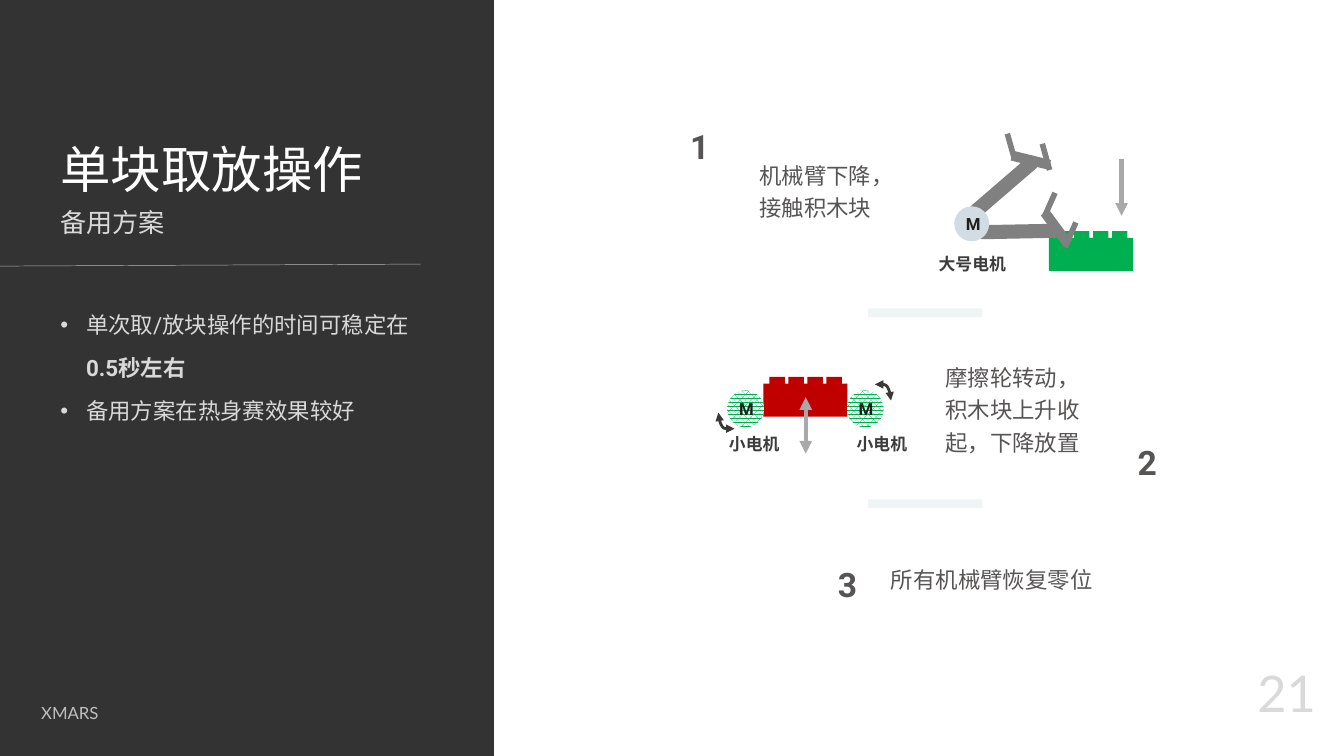
from lxml.etree import SubElement
from pptx import Presentation
from pptx.dml.color import RGBColor
from pptx.enum.dml import MSO_PATTERN
from pptx.enum.shapes import MSO_CONNECTOR as LINK, MSO_SHAPE as SHAPE
from pptx.enum.text import MSO_ANCHOR as ANCHOR, MSO_AUTO_SIZE as FIT, PP_ALIGN as ALIGN
from pptx.oxml.ns import qn
from pptx.util import Inches, Pt

WHITE = RGBColor(0xFF, 0xFF, 0xFF)
PANEL = RGBColor(0x33, 0x33, 0x33)
RULE = RGBColor(0xBC, 0xBA, 0xBA)
PALE = RGBColor(0xD9, 0xD9, 0xD9)
FOOT = RGBColor(0xBF, 0xBF, 0xBF)
INK = RGBColor(0x57, 0x54, 0x54)
LABEL = RGBColor(0x3C, 0x3C, 0x3C)
BLACK = RGBColor(0x1E, 0x1E, 0x1E)
CURVE = RGBColor(0x3B, 0x38, 0x38)
ARROW = RGBColor(0xA9, 0xA9, 0xA9)
METAL = RGBColor(0x80, 0x80, 0x80)
BAR = RGBColor(0xF0, 0xF4, 0xF5)
MOTOR = RGBColor(0xD1, 0xDD, 0xE2)
RED = RGBColor(0xC0, 0x00, 0x00)
GREEN = RGBColor(0x00, 0xB0, 0x50)

TITLE = "单块取放操作"
SUB = "备用方案"
POINTS = [
    [("单次取/放块操作的时间可稳定在", False), ("0.5秒左右", True)],
    [("备用方案在热身赛效果较好", False)],
]
# number, its place, step text, its box
STEPS = [
    ("1", (10.17, 1.46), "机械臂下降，接触积木块", (11.2, 2.28, 1.9, 1.58)),
    ("2", (16.83, 6.17), "摩擦轮转动，积木块上升收起，下降放置", (13.97, 5.29, 2.24, 1.58)),
    ("3", (12.37, 7.98), "所有机械臂恢复零位", (13.16, 8.3, 3.54, 0.95)),
]
LABELS = [("小电机", 12.65, 6.41), ("小电机", 10.75, 6.4), ("大号电机", 13.87, 3.72)]
# bars: box and angle; jaws: start and end
ARM_UP = (
    [((15.05, 2.31, 0.58, 0.15), 13.9), ((14.83, 2.22, 0.21, 1.13), 49.2)],
    [(14.99, 1.99, 15.1, 2.38), (15.51, 2.14, 15.62, 2.53)],
)
ARM_DOWN = (
    [((15.43, 3.32, 0.58, 0.15), 53.6), ((15.05, 2.88, 0.21, 1.13), 88.9)],
    [(15.7, 2.87, 15.54, 3.23), (16.01, 3.31, 15.85, 3.68)],
)
# left, top, bend of each turning arrow
TURNS = [(13.02, 5.72, 0), (10.69, 6.14, 100000)]

prs = Presentation()
prs.slide_width, prs.slide_height = Inches(20), Inches(11.25)
slide = prs.slides.add_slide(prs.slide_layouts[1])
page = slide.shapes


def inches(vals):
    return [Inches(v) for v in vals]


def block(shapes, box, color, kind=SHAPE.RECTANGLE, turn=0):
    shape = shapes.add_shape(kind, *inches(box))
    shape.shadow.inherit = False
    shape.fill.solid()
    shape.fill.fore_color.rgb = color
    shape.line.fill.background()
    shape.rotation = turn
    return shape


def link(shapes, ends, color, width, heads=(), kind=LINK.STRAIGHT):
    line = shapes.add_connector(kind, *inches(ends))
    line.line.color.rgb = color
    line.line.width = Pt(width)
    for head in heads:
        SubElement(line.line._get_or_add_ln(), qn("a:" + head), type="triangle")
    SubElement(line._element.spPr, qn("a:effectLst"))
    return line


def add_run(para, text, size, color, font="Roboto", bold=False):
    run = para.add_run()
    run.text = text
    run.font.size, run.font.name, run.font.bold = Pt(size), font, bold
    run.font.color.rgb = color


def write(box, text, size, color, font="Roboto", bold=False, space=1.0, align=ALIGN.LEFT):
    shape = page.add_textbox(*inches(box))
    shape.text_frame.word_wrap = True
    para = shape.text_frame.paragraphs[0]
    para.line_spacing, para.alignment = space, align
    add_run(para, text, size, color, font, bold)
    return shape


def place(holder, box, anchor):
    holder.left, holder.top, holder.width, holder.height = inches(box)
    frame = holder.text_frame
    frame.auto_size, frame.vertical_anchor = FIT.NONE, anchor
    return frame


def brick(left, top, color):
    group = page.add_group_shape().shapes
    block(group, (left, top, 1.25, 0.49), color)
    for i in range(4):
        block(group, (left + 0.09 + 0.283 * i, top - 0.1, 0.23, 0.49), color)


def arm(bars, jaws):
    group = page.add_group_shape().shapes
    for box, turn in bars:
        block(group, box, METAL, turn=turn)
    for ends in jaws:
        link(group, ends, METAL, 6)


def motor(left, top, size, color):
    shape = block(page, (left, top, size, size), color, SHAPE.OVAL)
    frame = shape.text_frame
    frame.vertical_anchor = ANCHOR.MIDDLE
    frame.paragraphs[0].alignment = ALIGN.CENTER
    add_run(frame.paragraphs[0], "M", 18, BLACK, bold=True)
    return shape


# Left panel, behind the placeholders
panel = block(page, (0, 0, 7.35, 11.25), PANEL)
rule = link(page, (0, 3.96, 6.26, 3.93), RULE, 0.5)
for back in (rule, panel):
    page._spTree.insert(2, back._element)

para = place(page.title, (0.8, 1.94, 5.81, 1.25), ANCHOR.MIDDLE).paragraphs[0]
para.alignment, para.line_spacing = ALIGN.LEFT, 0.9
add_run(para, TITLE, 54, WHITE, "Calibri")
sub = write((0.8, 2.82, 4.92, 0.77), SUB, 28, PALE, "Calibri")
sub.text_frame.vertical_anchor = ANCHOR.BOTTOM

frame = place(slide.placeholders[1], (0.8, 4.34, 5.56, 3.27), ANCHOR.TOP)
for i, runs in enumerate(POINTS):
    para = frame.add_paragraph() if i else frame.paragraphs[0]
    props = para._p.get_or_add_pPr()
    props.set("marL", str(Inches(0.38)))
    props.set("indent", str(-Inches(0.38)))
    SubElement(props, qn("a:buFont"), typeface="Arial")
    SubElement(props, qn("a:buChar"), char="•")
    para.line_spacing, para.space_before = 1.6, Pt(0)
    for text, bold in runs:
        add_run(para, text, 24, PALE, bold=bold)

# Steps
for num, (left, top), text, box in STEPS:
    write((left, top, 0.56, 1.05), num, 36, INK, bold=True, space=1.6)
    write(box, text, 24, INK, space=1.2)
for top in (4.59, 7.43):
    block(page, (12.92, top, 1.7, 0.13), BAR)

# Friction wheels lift the red brick
brick(11.36, 5.71, RED)
for left in (10.82, 12.6):
    fill = motor(left, 5.81, 0.55, GREEN).fill
    fill.patterned()
    fill.pattern = MSO_PATTERN.PERCENT_60
    fill.fore_color.rgb, fill.back_color.rgb = GREEN, WHITE
for left, top, bend in TURNS:
    turn = link(page, (left + 0.24, top, left, top + 0.24), CURVE, 3,
                ("headEnd", "tailEnd"), LINK.CURVE)
    props = turn._element.spPr
    props.find(qn("a:xfrm")).set("rot", str(270 * 60000))
    guides = props.find(qn("a:prstGeom")).find(qn("a:avLst"))
    SubElement(guides, qn("a:gd"), name="adj1", fmla=f"val {bend}")
link(page, (11.99, 6.75, 11.99, 5.91), ARROW, 4.5, ("headEnd", "tailEnd"))

# Arm comes down on the green brick
arm(*ARM_UP)
link(page, (16.69, 3.21, 16.69, 2.37), ARROW, 4.5, ("headEnd",))
brick(15.61, 3.54, GREEN)
arm(*ARM_DOWN)
motor(14.2, 3.07, 0.52, MOTOR)

for text, left, top in LABELS:
    write((left, top, 1.5, 0.4), text, 18, LABEL, bold=True)
write((0.29, 10.41, 1.5, 0.4), "XMARS", 18, FOOT, "Lato", align=ALIGN.CENTER)
write((18.14, 9.8, 1.54, 1), "21", 54, PALE, "Lato", align=ALIGN.RIGHT)

prs.save("out.pptx")
